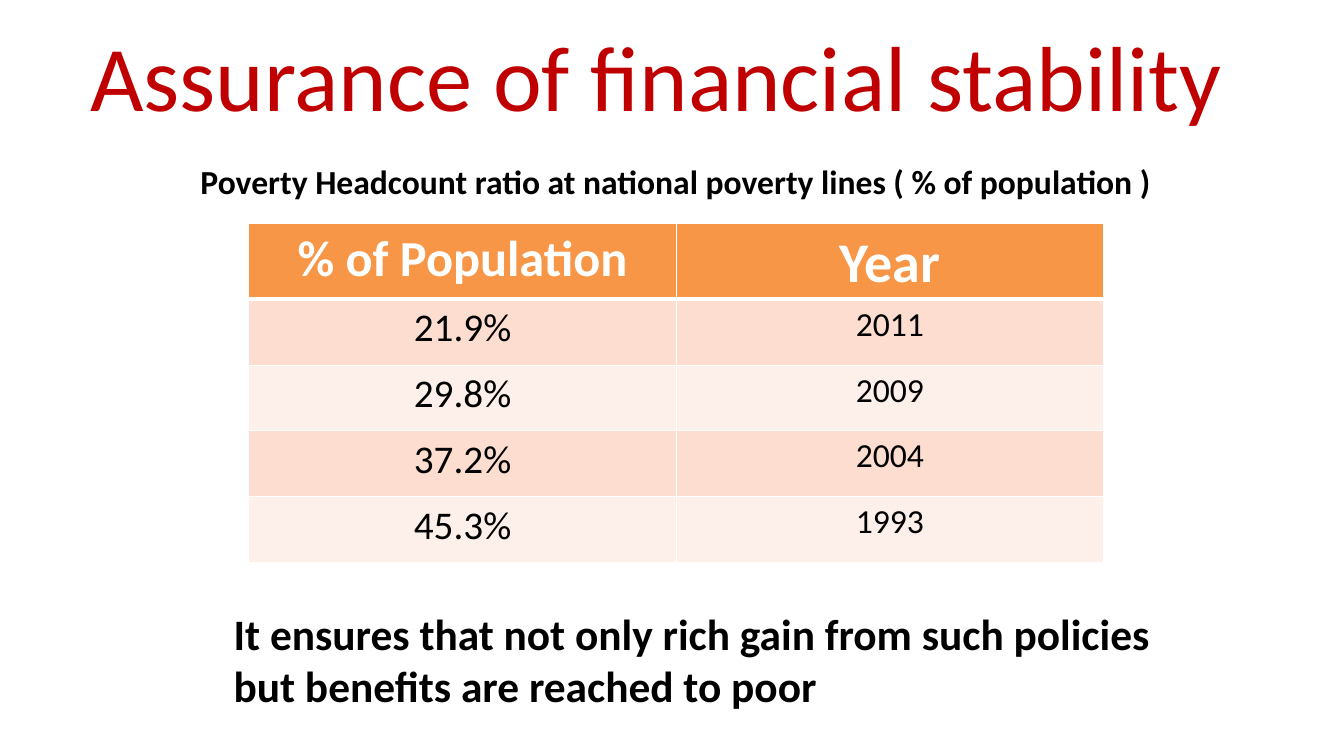
from dataclasses import dataclass

from lxml import etree
from pptx import Presentation
from pptx import util as u
from pptx.dml.color import RGBColor
from pptx.enum import text
from pptx.oxml.ns import qn


@dataclass(frozen=True)
class Theme:
    font: str = "Calibri"
    title: str = "C00000"
    ink: str = "000000"
    white: str = "FFFFFF"
    header: str = "F79646"
    bands: tuple = ("FCDDCF", "FDEFE9")
    title_size: int = 66
    caption_size: int = 24
    closing_size: int = 31
    header_sizes: tuple = (36, 40)
    body_sizes: tuple = (28, 24)


class Deck:
    """Holds the theme and the current slide."""

    def __init__(self, theme):
        self.theme = theme
        self.prs = Presentation()
        self.prs.slide_width, self.prs.slide_height = u.Pt(960), u.Pt(540)
        self.s = self.prs.slides.add_slide(self.prs.slide_layouts[6])

    def set_text(self, tf, words, size, color, bold, align):
        tf.text = words
        p = tf.paragraphs[0]
        p.alignment = align
        font = p.runs[0].font
        font.name, font.size, font.bold = self.theme.font, u.Pt(size), bold
        font.color.rgb = RGBColor.from_string(color)

    def textbox(self, box, words, size, color, bold=True, align=text.PP_ALIGN.LEFT):
        sp = self.s.shapes.add_textbox(*map(u.Pt, box))
        sp.text_frame.word_wrap = True
        self.set_text(sp.text_frame, words, size, color, bold, align)

    def borders(self, cell, bottom, top):
        tc_pr = cell._tc.get_or_add_tcPr()
        widths = {"a:lnL": 1, "a:lnR": 1, "a:lnT": top, "a:lnB": bottom}
        for i, (tag, width) in enumerate(widths.items()):
            ln = etree.Element(qn(tag), w=str(u.Pt(width)))
            fill = etree.SubElement(ln, qn("a:solidFill"))
            etree.SubElement(fill, qn("a:srgbClr"), val=self.theme.white)
            tc_pr.insert(i, ln)

    def table(self, box, rows, header_height, row_height):
        t = self.theme
        tbl = self.s.shapes.add_table(len(rows), len(rows[0]), *map(u.Pt, box)).table
        for i, row in enumerate(rows):
            head = i == 0
            tbl.rows[i].height = u.Pt(header_height if head else row_height)
            sizes = t.header_sizes if head else t.body_sizes
            fill = t.header if head else t.bands[(i - 1) % 2]
            for j, words in enumerate(row):
                cell = tbl.cell(i, j)
                cell.fill.solid()
                cell.fill.fore_color.rgb = RGBColor.from_string(fill)
                if head:
                    cell.margin_bottom = 0  # keeps the large heading in its row
                self.set_text(cell.text_frame, words, sizes[j],
                              t.white if head else t.ink, head, text.PP_ALIGN.CENTER)
                self.borders(cell, bottom=3 if head else 1, top=3 if i == 1 else 1)


def main():
    theme = Theme()
    deck = Deck(theme)

    # Title
    deck.textbox((28.8, 10.1, 879.8, 87.1), "Assurance of financial stability",
                 theme.title_size, theme.title, bold=False, align=text.PP_ALIGN.CENTER)

    # Poverty table
    rows = [("% of Population", "Year"), ("21.9%", "2011"), ("29.8%", "2009"),
            ("37.2%", "2004"), ("45.3%", "1993")]
    deck.table((177.8, 159.8, 610.6, 242), rows, header_height=54, row_height=47)

    # Closing statement
    deck.textbox((159.8, 429.8, 684.7, 82.1),
                 "It ensures that not only rich gain from such policies "
                 "but benefits are reached to poor",
                 theme.closing_size, theme.ink)

    # Table caption
    deck.textbox((136.1, 111.6, 694.8, 36),
                 "Poverty Headcount ratio at national poverty lines ( % of population )",
                 theme.caption_size, theme.ink)

    deck.prs.save("out.pptx")


if __name__ == "__main__":
    main()
